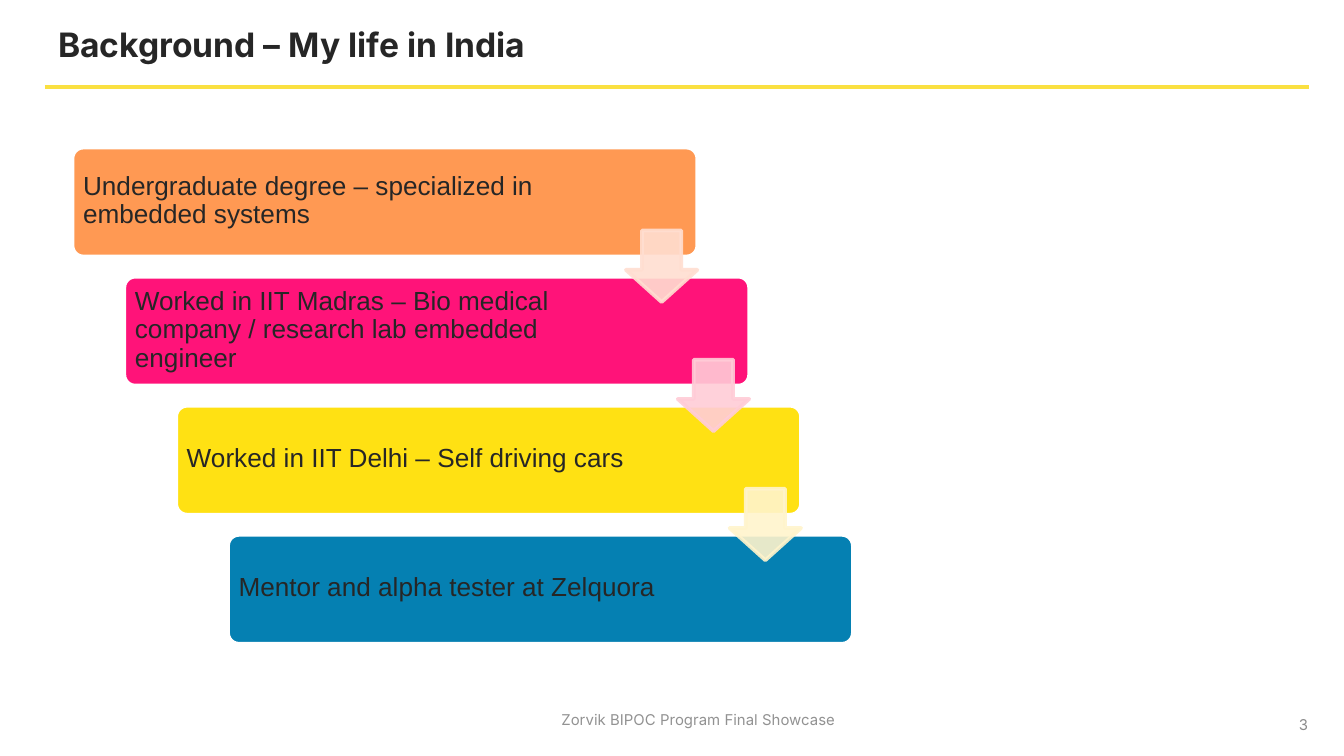
"""Build a slide with a descending staircase of career steps."""
from lxml import etree
from pptx import Presentation
from pptx.dml.color import RGBColor
from pptx.enum import shapes, text
from pptx.oxml import ns
from pptx.util import Cm, Pt

STEPS = [
    ("Undergraduate degree – specialized in embedded systems", "FF9953", "FFDED1"),
    ("Worked in IIT Madras – Bio medical company / research lab embedded engineer",
     "FF1379", "FFCCD7"),
    ("Worked in IIT Delhi – Self driving cars", "FFE113", "FFF4CC"),
    ("Mentor and alpha tester at Zelquora", "0580B2", None),
]
FIRST_LEFT, FIRST_TOP = 1.37, 2.79
SHIFT_RIGHT, SHIFT_DOWN = 0.98, 2.44
DARK = "262626"


def color(value):
    """Turn a hex string into a colour."""
    return RGBColor.from_string(value)


def add_label(slide, box, words, font, size, ink, bold=False,
              align=text.PP_ALIGN.LEFT, anchor=text.MSO_ANCHOR.MIDDLE, inset=None):
    """Add one wrapped paragraph in a box of (left, top, width, height) cm."""
    frame = slide.shapes.add_textbox(*map(Cm, box)).text_frame
    frame.word_wrap = True
    frame.vertical_anchor = anchor
    if inset is not None:
        frame.margin_left = frame.margin_right = Cm(inset)
        frame.margin_top = frame.margin_bottom = Cm(inset)
    frame.text = words
    paragraph = frame.paragraphs[0]
    paragraph.alignment = align
    run_font = paragraph.runs[0].font
    run_font.name, run_font.size, run_font.bold = font, Pt(size), bold
    run_font.color.rgb = color(ink)
    return paragraph


def add_block(slide, kind, box, fill, outline, adjustments):
    """Add a filled preset shape with a 2 pt outline."""
    block = slide.shapes.add_shape(kind, *map(Cm, box))
    block.shadow.inherit = False
    block.fill.solid()
    block.fill.fore_color.rgb = color(fill)
    block.line.color.rgb = color(outline)
    block.line.width = Pt(2)
    for index, value in enumerate(adjustments):
        block.adjustments[index] = value
    return block


def add_rule(slide, left, right, top, ink):
    """Add a horizontal 2 pt rule without a shadow."""
    rule = slide.shapes.add_connector(
        shapes.MSO_CONNECTOR.STRAIGHT, Cm(left), Cm(top), Cm(right), Cm(top))
    rule.line.color.rgb = color(ink)
    rule.line.width = Pt(2)
    etree.SubElement(rule.element.spPr, ns.qn("a:effectLst"))


def add_step(slide, left, top, words, fill):
    """Add a rounded bar with its text."""
    add_block(slide, shapes.MSO_SHAPE.ROUNDED_RECTANGLE,
              (left, top, 11.81, 2.06), fill, "FFFFFF", [0.1])
    paragraph = add_label(slide, (left + 0.05, top + 0.05, 9.37, 1.93),
                          words, "Arial", 14, DARK, inset=0.15)
    paragraph.line_spacing = 0.9


def add_arrow(slide, left, top, tint):
    """Add a translucent down arrow that leads to the next step."""
    arrow = add_block(slide, shapes.MSO_SHAPE.DOWN_ARROW,
                      (left + 10.46, top + 1.57, 1.35, 1.35), tint, tint, [0.55, 0.45])
    for tone in arrow.element.spPr.iter(ns.qn("a:srgbClr")):
        etree.SubElement(tone, ns.qn("a:alpha"), val="90000")


def main():
    """Assemble and save the slide."""
    deck = Presentation()
    deck.slide_width, deck.slide_height = Cm(25.4), Cm(14.29)
    slide = deck.slides.add_slide(deck.slide_layouts[6])

    add_label(slide, (10.36, 13.31, 5.79, 0.61), "Zorvik BIPOC Program Final Showcase",
              "Inter", 8, "929292", anchor=text.MSO_ANCHOR.TOP)
    add_label(slide, (19.25, 13.31, 5.72, 0.76), "3", "Inter", 8, "8B8B8B",
              align=text.PP_ALIGN.RIGHT)
    add_rule(slide, 0.85, 24.74, 1.65, "FAE041")
    add_label(slide, (0.85, 0.1, 20.62, 1.47), "Background – My life in India",
              "Inter", 18, DARK, bold=True)

    corners = [(FIRST_LEFT + i * SHIFT_RIGHT, FIRST_TOP + i * SHIFT_DOWN)
               for i in range(len(STEPS))]
    for (left, top), (words, fill, _) in zip(corners, STEPS):
        add_step(slide, left, top, words, fill)
    for (left, top), (_, _, tint) in zip(corners, STEPS):
        if tint:
            add_arrow(slide, left, top, tint)

    deck.save("out.pptx")


if __name__ == "__main__":
    main()
